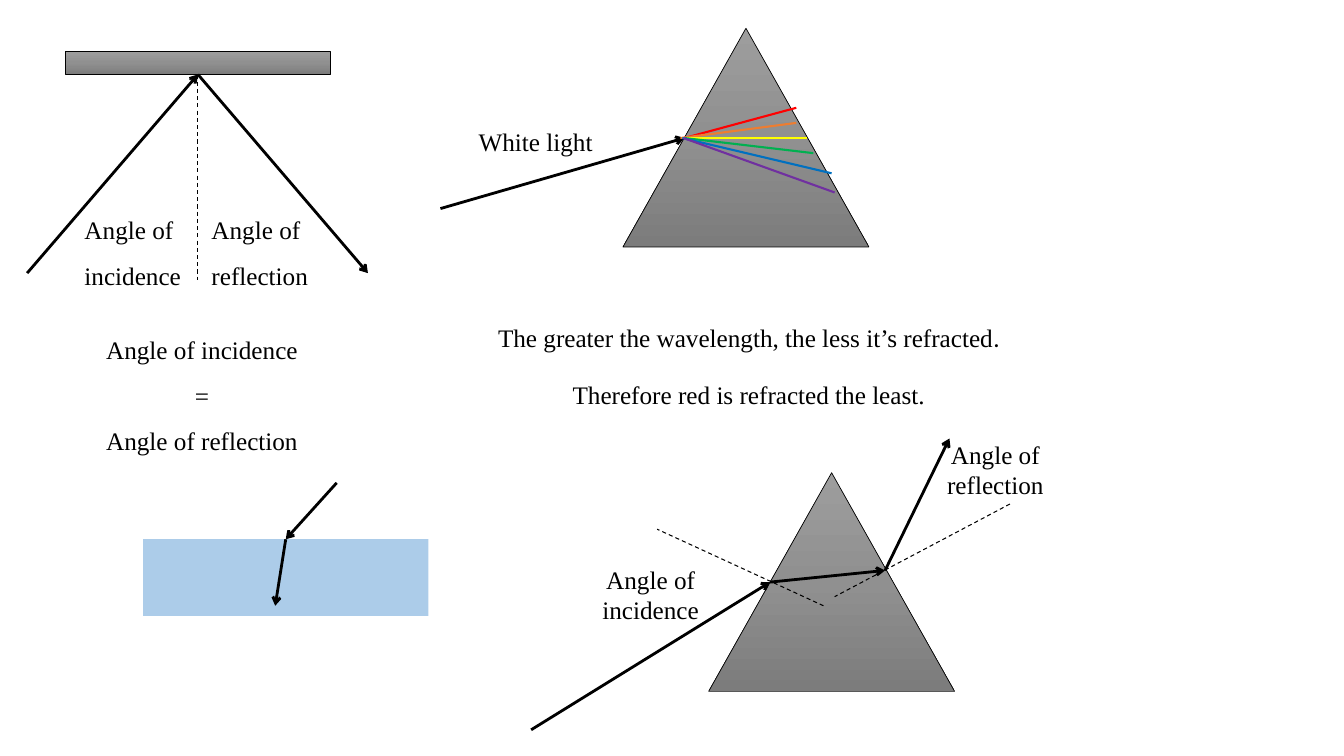
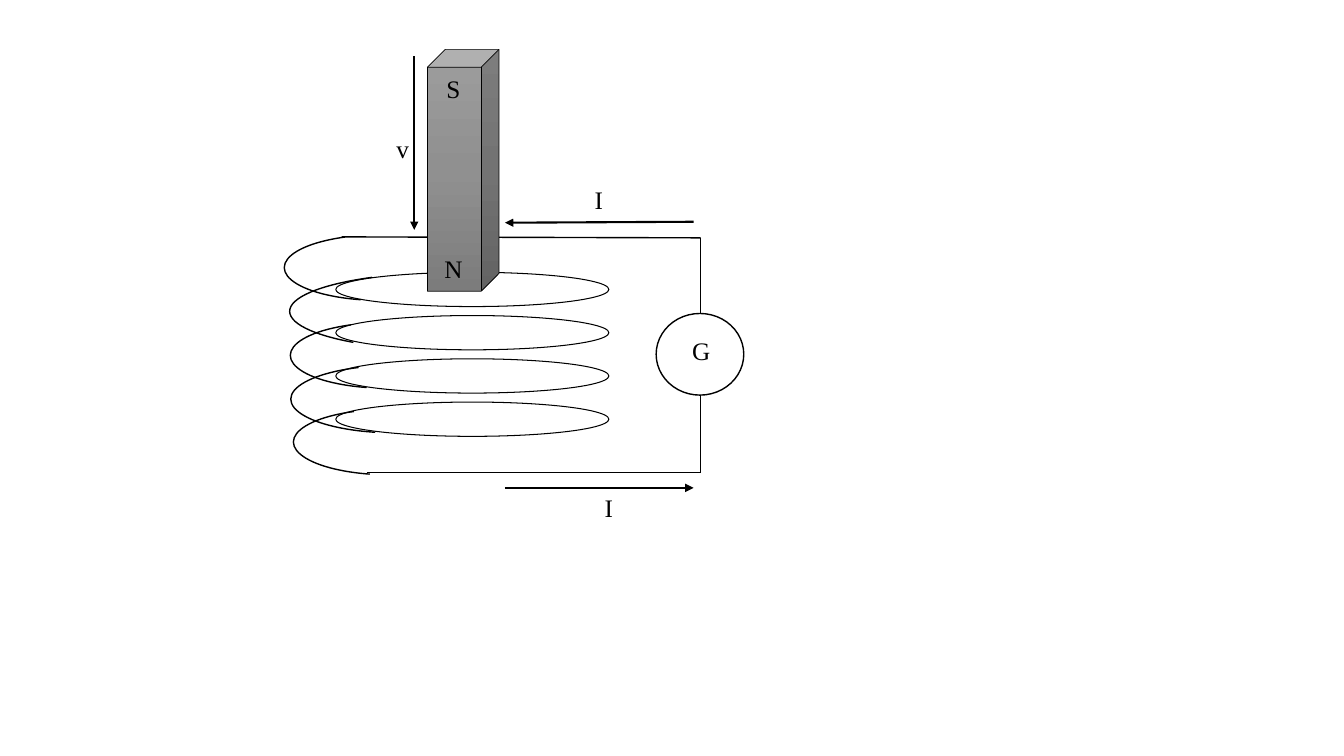
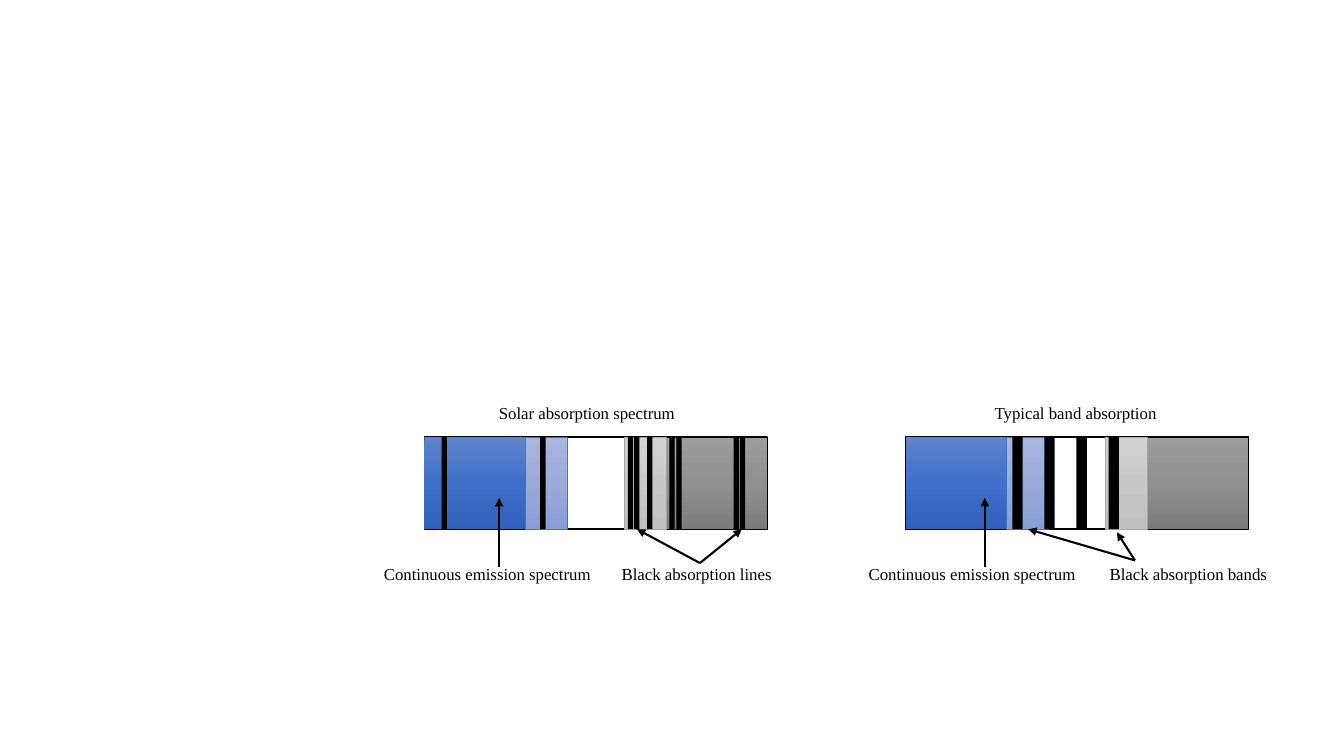
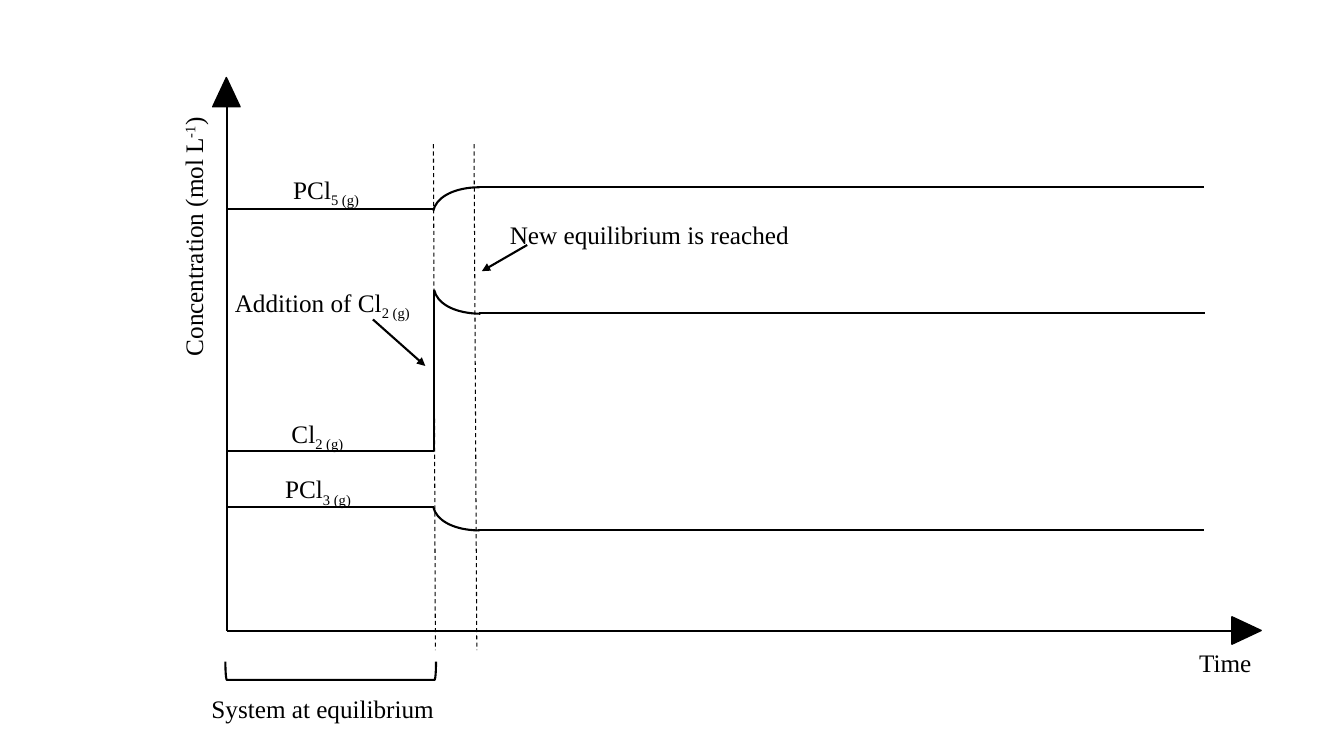
from copy import deepcopy
from dataclasses import dataclass

from lxml.etree import SubElement
from pptx import Presentation
from pptx.dml.color import RGBColor
from pptx.enum.dml import MSO_LINE
from pptx.enum.shapes import MSO_CONNECTOR, MSO_SHAPE
from pptx.enum.text import MSO_AUTO_SIZE, PP_ALIGN
from pptx.oxml.ns import qn
from pptx.shapes.autoshape import Shape
from pptx.shapes.connector import Connector
from pptx.slide import Slide
from pptx.util import Pt

# Shared style
FONT = "Times New Roman"
BLACK = "000000"
WHITE = "FFFFFF"
GREY = ("9D9D9D", "909090", "7C7C7C")
LIGHT_GREY = ("D2D2D2", "C8C8C8", "C0C0C0")
BLUE = ("6183CB", "3E70CA", "3062BB")
LIGHT_BLUE = ("A8B7DF", "9AABD9", "889ED7")
TOP, BOTTOM = 0, 2

Point = tuple[float, float]
Fill = str | tuple[str, str, str] | None


@dataclass(frozen=True)
class Box:
    left: float
    top: float
    width: float
    height: float
    rotation: float = 0
    flip: str = ""


@dataclass(frozen=True)
class Span:
    text: str
    baseline: int = 0
    font: str = FONT


@dataclass(frozen=True)
class Species:
    formula: str
    subscript: str
    label: Box
    before: float
    curve: Box
    plateau_left: float
    plateau: float


def colour(value: str) -> RGBColor:
    return RGBColor.from_string(value)


def paint(shape: Shape, fill: Fill, opacity: int) -> None:
    if fill is None:
        shape.fill.background()
    elif isinstance(fill, str):
        shape.fill.solid()
        shape.fill.fore_color.rgb = colour(fill)
        if opacity < 100:
            tint = shape.element.spPr.find(f".//{qn('a:srgbClr')}")
            SubElement(tint, qn("a:alpha")).set("val", str(opacity * 1000))
    else:
        shape.fill.gradient()
        shape.fill.gradient_angle = 270
        first = shape.element.spPr.find(f".//{qn('a:gs')}")
        first.addnext(deepcopy(first))
        for stop, position, value in zip(shape.fill.gradient_stops, (0, 0.5, 1), fill):
            stop.position = position
            stop.color.rgb = colour(value)


def add_figure(page: Slide, kind: MSO_SHAPE, box: Box, fill: Fill = None, line: str = BLACK,
               weight: float = 0.5, opacity: int = 100, angles: tuple[float, ...] = ()) -> Shape:
    shape = page.shapes.add_shape(kind, Pt(box.left), Pt(box.top), Pt(box.width), Pt(box.height))
    shape.shadow.inherit = False
    shape.rotation = box.rotation
    if box.flip:
        shape.element.spPr.get_or_add_xfrm().set(box.flip, "1")
    for index, angle in enumerate(angles):
        shape.adjustments[index] = angle
    paint(shape, fill, opacity)
    if weight:
        shape.line.color.rgb = colour(line)
        shape.line.width = Pt(weight)
    else:
        shape.line.fill.background()
    return shape


def add_line(page: Slide, start: Point, end: Point, weight: float = 1.5, line: str = BLACK,
             head: str = "", dashed: bool = False) -> Connector:
    connector = page.shapes.add_connector(
        MSO_CONNECTOR.STRAIGHT, Pt(start[0]), Pt(start[1]), Pt(end[0]), Pt(end[1]))
    connector.line.color.rgb = colour(line)
    connector.line.width = Pt(weight)
    if dashed:
        connector.line.dash_style = MSO_LINE.DASH
    properties = connector.element.spPr
    if head:
        SubElement(properties.find(qn("a:ln")), qn("a:tailEnd")).set("type", head)
    SubElement(properties, qn("a:effectLst"))
    return connector


def add_ray(page: Slide, start: Point, end: Point) -> Connector:
    return add_line(page, start, end, weight=2, head="arrow")


def add_pointer(page: Slide, start: Point, end: Point) -> Connector:
    return add_line(page, start, end, head="triangle")


def add_dashes(page: Slide, start: Point, end: Point) -> Connector:
    return add_line(page, start, end, weight=0.75, dashed=True)


def add_label(page: Slide, box: Box, *paragraphs: str | tuple[Span, ...], size: float = 18,
              centred: bool = True, spaced: bool = False, wrap: bool = False) -> None:
    label = page.shapes.add_textbox(Pt(box.left), Pt(box.top), Pt(box.width), Pt(box.height))
    label.rotation = box.rotation
    frame = label.text_frame
    frame.word_wrap = wrap
    frame.auto_size = MSO_AUTO_SIZE.SHAPE_TO_FIT_TEXT
    for index, paragraph in enumerate(paragraphs):
        para = frame.add_paragraph() if index else frame.paragraphs[0]
        if centred:
            para.alignment = PP_ALIGN.CENTER
        if spaced:
            para.line_spacing = 1.5
            para.space_after = Pt(8)
        for part in (Span(paragraph),) if isinstance(paragraph, str) else paragraph:
            for row, text in enumerate(part.text.split("\n")):
                if row:
                    para.add_line_break()
                span = para.add_run()
                span.text = text
                span.font.name = part.font
                span.font.size = Pt(size)
                span.font.color.rgb = colour(BLACK)
                if part.baseline:
                    span.font._element.set("baseline", str(part.baseline * 1000))


def build_optics(page: Slide) -> None:
    # Reflection at a mirror
    mirror = add_figure(page, MSO_SHAPE.RECTANGLE, Box(46.6, 36.8, 189.6, 16.4), GREY)
    hit = (141.4, 53.2)
    add_ray(page, (19.4, 195.1), hit).end_connect(mirror, BOTTOM)
    add_ray(page, hit, (262.8, 195.1)).begin_connect(mirror, BOTTOM)
    add_dashes(page, hit, (141.4, 200.2)).begin_connect(mirror, BOTTOM)
    for left, name in ((53.3, "incidence"), (144, "reflection")):
        add_label(page, Box(left, 139, 88.6, 69.1), f"Angle of\n{name}", centred=False, spaced=True)
    add_label(page, Box(66.2, 224.6, 156.2, 102.2),
              "Angle of incidence\n=\nAngle of reflection", spaced=True)

    # Dispersion in a prism
    add_figure(page, MSO_SHAPE.ISOSCELES_TRIANGLE, Box(445, 20.2, 175.7, 156.2), GREY)
    entry = 98.6
    add_ray(page, (314.6, 149), (488.9, entry))
    spectrum = (
        ("FF0000", 488.9, (568.8, 77)),
        ("ED7D31", 486, (568.8, 87.8)),
        ("FFFF00", 488.9, (576.7, entry)),
        ("00B050", 488.9, (581, 109.4)),
        ("0070C0", 487.4, (594, 123.8)),
        ("7030A0", 488.2, (596.2, 137.5)),
    )
    for value, left, end in spectrum:
        add_line(page, (left, entry), end, line=value)
    add_label(page, Box(332.6, 86.4, 100.1, 28.8), "White light")
    add_label(page, Box(335.5, 216, 398.9, 77),
              (Span("The greater the wavelength, the less it’s refracted"),
               Span(".", font="Calibri")),
              "Therefore red is refracted the least.", spaced=True)

    # Path through a second prism
    add_figure(page, MSO_SHAPE.ISOSCELES_TRIANGLE, Box(506.2, 337.7, 175.7, 156.2), GREY)
    route = ((379.4, 521.3), (550.1, 415.8), (632.2, 407.5), (678.2, 313.2))
    for start, end in zip(route, route[1:]):
        add_ray(page, start, end)
    add_dashes(page, (588.2, 432.7), (469.4, 378))
    add_dashes(page, (721.4, 360), (596.2, 426.2))
    add_label(page, Box(420.5, 399.6, 88.6, 51.1), "Angle of\nincidence")
    add_label(page, Box(666.7, 310.3, 88.6, 51.1), "Angle of\nreflection")

    # Refraction in water
    water = add_figure(page, MSO_SHAPE.RECTANGLE, Box(102.2, 385.2, 203.8, 54.7),
                       "5B9BD5", weight=0, opacity=50)
    surface = (204.1, 385.2)
    add_ray(page, (240.5, 344.9), surface).end_connect(water, TOP)
    add_ray(page, surface, (196.6, 432.7)).begin_connect(water, TOP)


def build_induction(page: Slide) -> None:
    # Coil
    for turn in range(4):
        add_figure(page, MSO_SHAPE.OVAL, Box(239.8, 194.5 + 30.9 * turn, 195.1, 24.5), weight=0.75)
    end_loop, side_loop = (147.74, 172.79), (137.24, 197.68)
    loops = (
        (293, 108.7, 55.4, 227.5, end_loop),
        (252, 185.8, 46.8, 136.1, side_loop),
        (257.8, 211, 48.2, 148.3, side_loop),
        (247.7, 123.1, 46.8, 136.1, side_loop),
        (254.2, 247.7, 46.8, 136.1, side_loop),
    )
    for left, top, width, height, angles in loops:
        add_figure(page, MSO_SHAPE.ARC, Box(left, top, width, height, 270, "flipH"),
                   weight=1, angles=angles)

    # Circuit with galvanometer
    upper, lower = (500.4, 169.9), (500.4, 337.7)
    for start, end in (((244.1, 169.2), upper), ((262.1, 337.7), lower), (upper, lower)):
        add_line(page, start, end, weight=1)
    add_figure(page, MSO_SHAPE.OVAL, Box(468.7, 223.9, 62.6, 58.3), WHITE, weight=1)
    add_pointer(page, (360.7, 348.5), (495.4, 348.5))
    add_pointer(page, (495.4, 158.4), (360.7, 159.1))

    # Moving magnet
    add_figure(page, MSO_SHAPE.CUBE, Box(305.3, 35.3, 51.1, 172.8), GREY)
    add_pointer(page, (295.9, 40.3), (295.9, 164.2))

    # Letters
    letters = (
        ("G", 487.4, 236.2, 25.9),
        ("N", 310.3, 177.1, 26.6),
        ("S", 311.8, 49, 23.8),
        ("I", 417.6, 128.2, 20.2),
        ("I", 424.8, 347.8, 20.2),
        ("v", 275.8, 91.4, 23.8),
    )
    for letter, left, top, width in letters:
        add_label(page, Box(left, top, width, 28.8), letter, wrap=letter == "v")


def add_spectrum(page: Slide, left: float, dark_lines: list[float], dark_width: float) -> None:
    width, band, pale = 244.8, 102.2, 30.2
    grey_left = width - band
    strips = [
        (0, width, WHITE, BLACK, 1),
        (0, band, BLUE, BLACK, 0),
        (grey_left, band, GREY, BLACK, 0.5),
        (band - pale, pale, LIGHT_BLUE, "4472C4", 0.5),
        (grey_left, pale, LIGHT_GREY, "A5A5A5", 0.5),
    ]
    strips += [(offset, dark_width, BLACK, BLACK, 0) for offset in dark_lines]
    for offset, strip_width, fill, line, weight in strips:
        add_figure(page, MSO_SHAPE.RECTANGLE, Box(left + offset, 312.3, strip_width, 65.7),
                   fill, line, weight)


def build_spectra(page: Slide) -> None:
    # Spectra
    add_spectrum(page, 303.1,
                 [225.4, 221, 180, 175, 149.8, 159.1, 12.4, 82.8, 145.4], 3.8)
    add_spectrum(page, 646.9, [76.2 + 22.9 * index for index in range(4)], 7.4)

    # Captions
    captions = (
        ("Solar absorption spectrum", 349.2, 277.2, 151.9),
        ("Typical band absorption", 703.4, 277.2, 140.4),
        ("Continuous emission spectrum", 267.1, 391.7, 174.2),
        ("Black absorption lines", 437, 391.7, 129.6),
        ("Continuous emission spectrum", 613.4, 391.7, 174.2),
        ("Black absorption bands", 785.5, 391.7, 136.1),
    )
    for text, left, top, width in captions:
        add_label(page, Box(left, top, width, 26.6), text, size=12, centred=False, spaced=True)

    # Pointers
    pointers = (
        ((356.6, 405.2), (356.6, 355.7)),
        ((703.4, 405.2), (703.4, 355.7)),
        ((810.7, 400.3), (734.4, 378)),
        ((810.7, 400.3), (797.8, 380.2)),
        ((500, 402.2), (455, 378)),
        ((500, 402.2), (529.9, 378)),
    )
    for start, end in pointers:
        add_pointer(page, start, end)


def build_equilibrium(page: Slide) -> None:
    # Axes
    origin = (162, 450.7)
    add_line(page, (162, 65.5), origin)
    add_line(page, (889.9, 450.7), origin)
    for head in (Box(151.9, 55.4, 19.6, 20.9), Box(880.6, 439.9, 19.6, 20.9, 90)):
        add_figure(page, MSO_SHAPE.ISOSCELES_TRIANGLE, head, BLACK, weight=1)
    add_label(page, Box(38.9, 154.8, 198, 28.8, 270),
              (Span("Concentration (mol L"), Span("-1", 30), Span(")")))
    add_label(page, Box(848.2, 458.6, 54, 28.8), "Time")

    # Concentration of each gas
    gases = (
        Species("PCl", "5 (g)", Box(200.2, 121, 65.5, 28.8), 149.4,
                Box(330.5, 113, 52.6, 97.2, 283.3), 341.3, 133.4),
        Species("Cl", "2 (g)", Box(199.4, 295.2, 54.7, 28.8), 322.4,
                Box(331.2, 147.6, 52.6, 97.2, 76.7, "flipV"), 342, 223.8),
        Species("PCl", "3 (g)", Box(194.4, 334.8, 65.5, 28.8), 362.2,
                Box(330.5, 302.4, 52.6, 97.2, 76.7, "flipV"), 341.3, 378.8),
    )
    for gas in gases:
        add_line(page, (162, gas.before), (310.3, gas.before))
        add_figure(page, MSO_SHAPE.ARC, gas.curve, weight=1.5, angles=(162, 191.8))
        add_line(page, (gas.plateau_left, gas.plateau), (gas.plateau_left + 518.4, gas.plateau))
        add_label(page, gas.label, (Span(gas.formula), Span(gas.subscript, -25)))
    add_line(page, (310.3, 207.4), (310.3, 322.4))

    # Moments in time
    add_dashes(page, (309.6, 103), (311, 464.4))
    add_dashes(page, (338.6, 103), (340.6, 464.4))
    add_pointer(page, (266.4, 228.2), (303.8, 261.4))
    add_pointer(page, (376.6, 175), (344.2, 193.7))
    add_figure(page, MSO_SHAPE.RIGHT_BRACKET, Box(229.7, 403.9, 13, 150.5, 90), weight=1.5)
    remarks = (
        (Box(160.6, 189.4, 145.4, 36.7), (Span("Addition of Cl"), Span("2 (g)", -25))),
        (Box(144, 481, 185, 36.7), "System at equilibrium"),
        (Box(357.1, 142.6, 228.2, 36.7), "New equilibrium is reached"),
    )
    for box, text in remarks:
        add_label(page, box, text, centred=False, spaced=True)


def main() -> None:
    deck = Presentation()
    deck.slide_width, deck.slide_height = Pt(960), Pt(540)
    for build in (build_optics, build_induction, build_spectra, build_equilibrium):
        build(deck.slides.add_slide(deck.slide_layouts[6]))
    deck.save("out.pptx")


if __name__ == "__main__":
    main()
